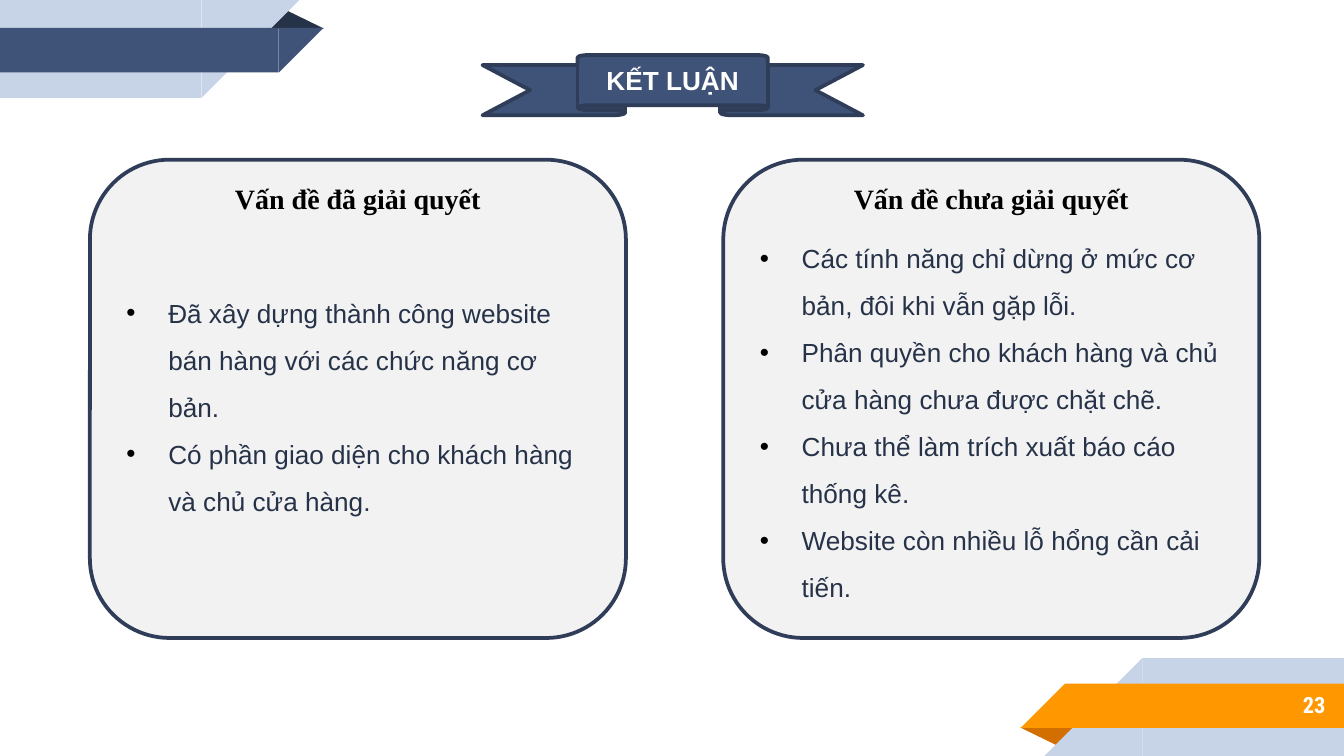
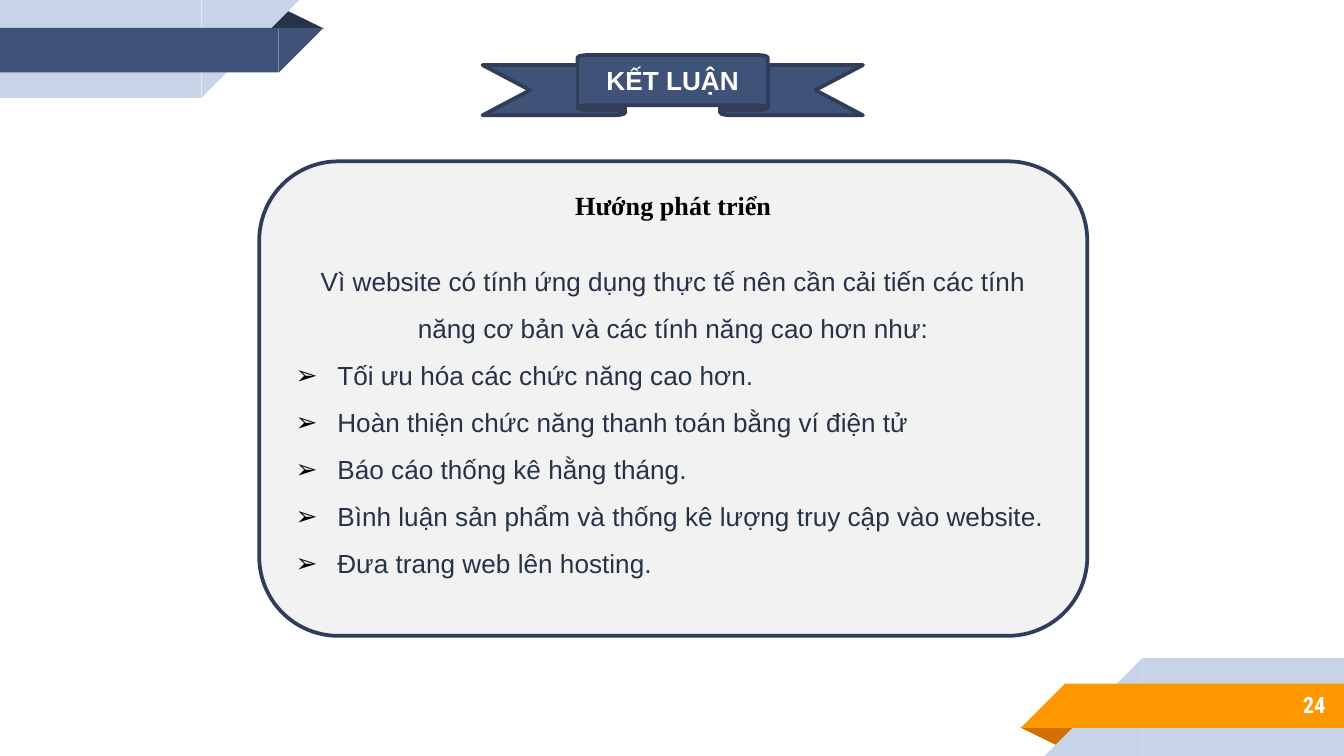
from pptx import Presentation
from pptx.dml.color import RGBColor
from pptx.enum.shapes import MSO_SHAPE as Form
from pptx.enum.text import MSO_ANCHOR as Anchor, PP_ALIGN as Align
from pptx.oxml.ns import qn
from pptx.util import Cm, Pt
from lxml.etree import SubElement

WIDE, HIGH = 25.4, 14.29
NAVY, EDGE, DARK = "3F5378", "2F3D59", "263248"
PALE, GOLD, RUST = "C7D3E6", "FF9800", "D26F00"
GREY, WHITE, BLACK = "F2F2F2", "FFFFFF", "000000"
SANS, SERIF, SLIM = "Arial", "Times New Roman", "Roboto Condensed"
HANG = Cm(0.79)


def color(code):
    return RGBColor.from_string(code)


def shape(slide, form, box, fill, edge=None, turn=0):
    item = slide.shapes.add_shape(form, *map(Cm, box))
    item.shadow.inherit = False
    item.fill.solid()
    item.fill.fore_color.rgb = color(fill)
    if edge:
        item.line.color.rgb = color(edge)
        item.line.width = Pt(2)
    else:
        item.line.fill.background()
    item.rotation = turn
    return item


def write(para, text, size, face, code, bold=False):
    run = para.add_run()
    run.text = text
    font = run.font
    font.size, font.name, font.bold = Pt(size), face, bold
    font.color.rgb = color(code)


def label(slide, box, text, size, face, code, align):
    frame = slide.shapes.add_textbox(*map(Cm, box)).text_frame
    para = frame.paragraphs[0]
    para.alignment = align
    write(para, text, size, face, code, True)
    return frame


def bullet(para, mark):
    props = para._p.get_or_add_pPr()
    props.set("marL", str(HANG))
    props.set("indent", str(-HANG))
    tint = SubElement(props, qn("a:buClr"))
    SubElement(tint, qn("a:srgbClr")).set("val", BLACK)
    SubElement(props, qn("a:buFont")).set("typeface", SANS)
    SubElement(props, qn("a:buChar")).set("char", mark)


def corner(slide, fold, band, turned=False):
    """Ribbon in the top left corner, or turned half round into the bottom right."""
    parts = [
        (Form.ISOSCELES_TRIANGLE, (5.03, 0.18, 1.09, 0.36), fold, 0),
        (Form.RECTANGLE, (0, 0, 3.81, 1.85), PALE, 0),
        (Form.RIGHT_TRIANGLE, (3.81, 0, 1.85, 1.85), PALE, 90),
        (Form.RECTANGLE, (0, 0.53, 5.27, 0.84), band, 0),
        (Form.RIGHT_TRIANGLE, (5.27, 0.53, 0.84, 0.84), band, 90),
    ]
    for form, (left, top, wide, high), fill, turn in parts:
        if turned:
            left, top, turn = WIDE - left - wide, HIGH - top - high, turn + 180
        item = shape(slide, form, (left, top, wide, high), fill, turn=turn)
        if form == Form.ISOSCELES_TRIANGLE:
            item.adjustments[0] = 0.324


def base(deck, number):
    """Blank slide with both corners, page number and heading ribbon."""
    slide = deck.slides.add_slide(deck.slide_layouts[6])
    corner(slide, DARK, NAVY)
    corner(slide, RUST, GOLD, turned=True)
    page = label(slide, (21.16, 12.88, 4.14, 0.89), str(number), 12, SLIM, WHITE, Align.RIGHT)
    page.word_wrap = True
    page.vertical_anchor = Anchor.MIDDLE
    page.margin_left = page.margin_right = Cm(0.25)
    page.margin_top = page.margin_bottom = Cm(0.25)
    head = shape(slide, Form.UP_RIBBON, (9.12, 1.04, 7.19, 1.14), NAVY, EDGE)
    head.text_frame.vertical_anchor = Anchor.MIDDLE
    para = head.text_frame.paragraphs[0]
    para.alignment = Align.CENTER
    write(para, "KẾT LUẬN", 14, SANS, WHITE, True)
    return slide


def panel(slide, box, title, size, room, items, mark, intro=None, drop=0.0):
    """Rounded card; room is the title's (offset, width, height), drop lowers the text."""
    frame = shape(slide, Form.ROUNDED_RECTANGLE, box, GREY, EDGE).text_frame
    frame.word_wrap = True
    frame.vertical_anchor = Anchor.MIDDLE
    frame.margin_top = Cm(0.13 + drop)
    lines = ([(intro, None)] if intro else []) + [(item, mark) for item in items]
    for place, (text, sign) in enumerate(lines):
        para = frame.add_paragraph() if place else frame.paragraphs[0]
        if sign:
            bullet(para, sign)
        para.alignment = Align.LEFT if sign else Align.CENTER
        para.line_spacing = 1.5
        write(para, text, 14, SANS, DARK)
    left, top, wide, _ = box
    gap, span, high = room
    spot = (left + (wide - span) / 2, top + gap, span, high)
    label(slide, spot, title, size, SERIF, BLACK, Align.CENTER).word_wrap = False


def results(deck):
    slide = base(deck, 23)
    top, wide, high = 3.02, 10.13, 9.04
    panel(slide, (1.7, top, wide, high), "Vấn đề đã giải quyết", 15, (0.28, 5.21, 0.89), [
        "Đã xây dựng thành công website bán hàng với các chức năng cơ bản.",
        "Có phần giao diện cho khách hàng và chủ cửa hàng.",
    ], "•")
    panel(slide, (13.67, top, wide, high), "Vấn đề chưa giải quyết", 15, (0.28, 5.77, 0.89), [
        "Các tính năng chỉ dừng ở mức cơ bản, đôi khi vẫn gặp lỗi.",
        "Phân quyền cho khách hàng và chủ cửa hàng chưa được chặt chẽ.",
        "Chưa thể làm trích xuất báo cáo thống kê.",
        "Website còn nhiều lỗ hổng cần cải tiến.",
    ], "•", drop=0.6)


def plans(deck):
    slide = base(deck, 24)
    panel(slide, (4.9, 3.05, 15.65, 8.97), "Hướng phát triển", 14, (0.4, 4.24, 1.45), [
        "Tối ưu hóa các chức năng cao hơn.",
        "Hoàn thiện chức năng thanh toán bằng ví điện tử",
        "Báo cáo thống kê hằng tháng.",
        "Bình luận sản phẩm và thống kê lượng truy cập vào website.",
        "Đưa trang web lên hosting.",
    ], "➢", drop=0.6, intro="Vì website có tính ứng dụng thực tế nên cần cải tiến "
                            "các tính năng cơ bản và các tính năng cao hơn như:")


def main():
    deck = Presentation()
    deck.slide_width, deck.slide_height = Cm(WIDE), Cm(HIGH)
    results(deck)
    plans(deck)
    deck.save("out.pptx")


if __name__ == "__main__":
    main()
